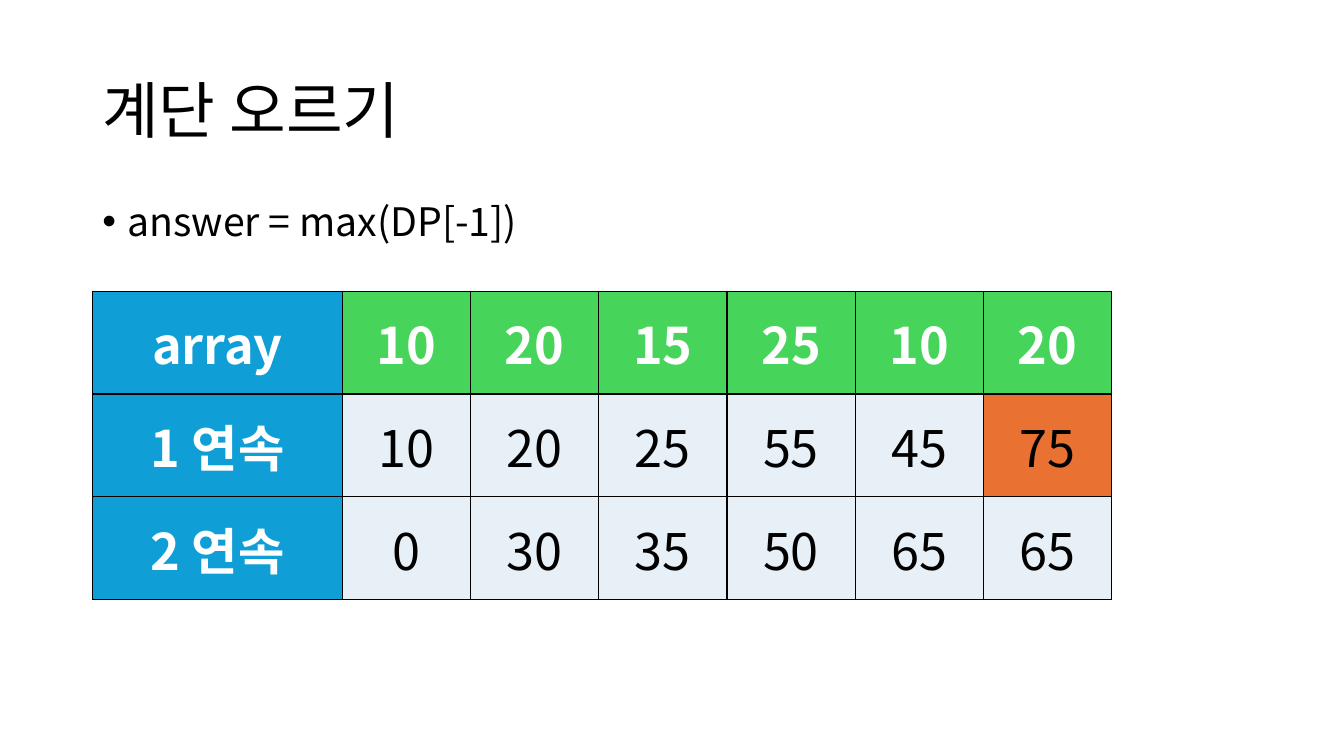
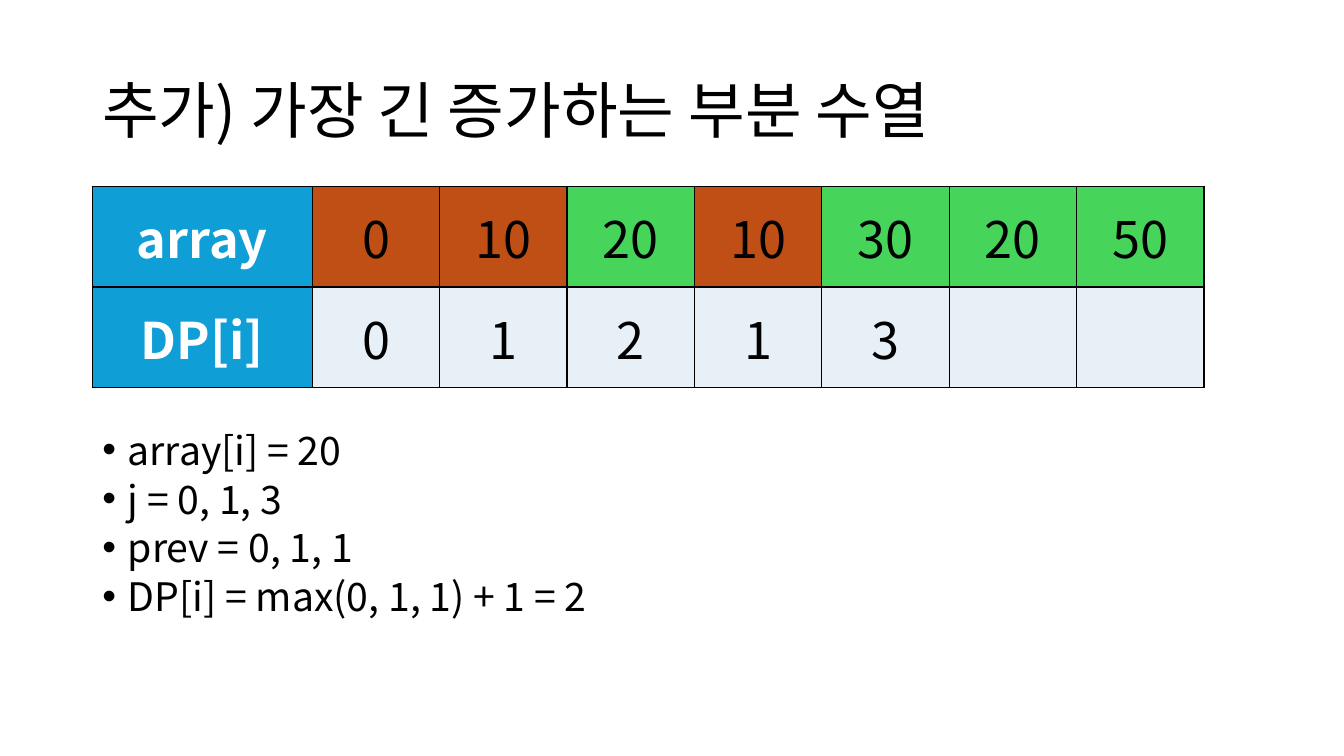
from dataclasses import dataclass
from typing import Any

from lxml.etree import SubElement
from pptx import Presentation
from pptx.dml.color import RGBColor
from pptx.enum.text import MSO_VERTICAL_ANCHOR as Anchor, PP_PARAGRAPH_ALIGNMENT as Align
from pptx.oxml.ns import qn
from pptx.util import Cm, Pt

FONT = "Noto Sans CJK KR"
BLACK = RGBColor(0x00, 0x00, 0x00)
WHITE = RGBColor(0xFF, 0xFF, 0xFF)
BLUE = RGBColor(0x0F, 0x9E, 0xD5)
GREEN = RGBColor(0x47, 0xD4, 0x5A)
PALE = RGBColor(0xE7, 0xF0, 0xF7)
ORANGE = RGBColor(0xE9, 0x71, 0x32)
RUST = RGBColor(0xC0, 0x4F, 0x15)

LEFT, TEXT_WIDTH = Cm(2.33), Cm(29.21)
TITLE_TOP, TITLE_HEIGHT = Cm(1.02), Cm(3.68)
BULLET_INDENT = Cm(0.64)

TITLE_FONT = {"size": Pt(44), "bold": False}
BODY_FONT = {"size": Pt(28), "bold": False}
CELL_FONT = {"size": Pt(36), "bold": False}
HEADER_FONT = {"size": Pt(36), "bold": True}
TITLE_PARAGRAPH = {"line_spacing": 0.9}
BODY_PARAGRAPH = {"line_spacing": 0.8, "space_before": Pt(8)}
CELL_PARAGRAPH = {"alignment": Align.CENTER}


@dataclass(frozen=True)
class Row:
    label: str
    values: list[str]
    fill: RGBColor
    bold: bool = False


@dataclass(frozen=True)
class Grid:
    top: Cm
    label_width: Cm
    value_width: Cm
    row_height: Cm
    rows: list[Row]
    highlights: dict[tuple[int, int], RGBColor]


@dataclass(frozen=True)
class Page:
    title: str
    grid: Grid
    bullets: list[str]
    bullets_top: Cm
    bullets_height: Cm


PAGES = [
    Page(
        "계단 오르기",
        Grid(
            Cm(7.34), Cm(6.3), Cm(3.23), Cm(2.59),
            [
                Row("array", ["10", "20", "15", "25", "10", "20"], GREEN, bold=True),
                Row("1 연속", ["10", "20", "25", "55", "45", "75"], PALE),
                Row("2 연속", ["0", "30", "35", "50", "65", "65"], PALE),
            ],
            {(1, 6): ORANGE},
        ),
        ["answer = max(DP[-1])"],
        Cm(5.08), Cm(3.25),
    ),
    Page(
        "추가) 가장 긴 증가하는 부분 수열",
        Grid(
            Cm(4.69), Cm(5.54), Cm(3.21), Cm(2.54),
            [
                Row("array", ["0", "10", "20", "10", "30", "20", "50"], GREEN),
                Row("DP[i]", ["0", "1", "2", "1", "3", "", ""], PALE),
            ],
            {(0, 1): RUST, (0, 2): RUST, (0, 4): RUST},
        ),
        ["array[i] = 20", "j = 0, 1, 3", "prev = 0, 1, 1", "DP[i] = max(0, 1, 1) + 1 = 2"],
        Cm(10.84), Cm(6.35),
    ),
]


def apply_format(target: Any, values: dict[str, Any]) -> None:
    for name, value in values.items():
        setattr(target, name, value)


def write(paragraph: Any, text: str, paragraph_format: dict[str, Any],
          font_format: dict[str, Any], color: RGBColor = BLACK) -> None:
    apply_format(paragraph, paragraph_format)
    run = paragraph.add_run()
    run.text = text
    apply_format(run.font, {"name": FONT, **font_format})
    run.font.color.rgb = color
    SubElement(run.font._element, qn("a:ea"), typeface=FONT)


def add_bullet(paragraph: Any) -> None:
    properties = paragraph._p.get_or_add_pPr()
    properties.set("marL", str(BULLET_INDENT))
    properties.set("indent", str(-BULLET_INDENT))
    SubElement(properties, qn("a:buFont"), typeface="Arial")
    SubElement(properties, qn("a:buChar"), char="•")


def add_text_frame(slide: Any, top: Cm, height: Cm, anchor: Anchor) -> Any:
    frame = slide.shapes.add_textbox(LEFT, top, TEXT_WIDTH, height).text_frame
    apply_format(frame, {"word_wrap": True, "vertical_anchor": anchor})
    return frame


def draw_title(slide: Any, title: str) -> None:
    frame = add_text_frame(slide, TITLE_TOP, TITLE_HEIGHT, Anchor.MIDDLE)
    write(frame.paragraphs[0], title, TITLE_PARAGRAPH, TITLE_FONT)


def draw_bullets(slide: Any, page: Page) -> None:
    frame = add_text_frame(slide, page.bullets_top, page.bullets_height, Anchor.TOP)
    for index, text in enumerate(page.bullets):
        paragraph = frame.add_paragraph() if index else frame.paragraphs[0]
        write(paragraph, text, BODY_PARAGRAPH, BODY_FONT)
        add_bullet(paragraph)


def add_borders(cell: Any) -> None:
    properties = cell._tc.get_or_add_tcPr()
    for side in ("lnL", "lnR", "lnT", "lnB"):
        line = SubElement(properties, qn(f"a:{side}"), w=str(Pt(1)))
        fill = SubElement(line, qn("a:solidFill"))
        SubElement(fill, qn("a:srgbClr"), val=str(BLACK))


def draw_cell(cell: Any, text: str, fill: RGBColor, header: bool) -> None:
    add_borders(cell)
    cell.fill.solid()
    cell.fill.fore_color.rgb = fill
    cell.vertical_anchor = Anchor.MIDDLE
    if text:
        write(cell.text_frame.paragraphs[0], text, CELL_PARAGRAPH,
              HEADER_FONT if header else CELL_FONT, WHITE if header else BLACK)


def draw_grid(slide: Any, grid: Grid) -> None:
    value_count = len(grid.rows[0].values)
    widths = [grid.label_width] + [grid.value_width] * value_count
    table = slide.shapes.add_table(
        len(grid.rows), len(widths), LEFT, grid.top,
        sum(widths), grid.row_height * len(grid.rows),
    ).table
    for column, width in zip(table.columns, widths):
        column.width = width
    for row_index, row in enumerate(grid.rows):
        table.rows[row_index].height = grid.row_height
        for column_index, text in enumerate([row.label, *row.values]):
            is_label = column_index == 0
            fill = grid.highlights.get((row_index, column_index), BLUE if is_label else row.fill)
            draw_cell(table.cell(row_index, column_index), text, fill, is_label or row.bold)


def main() -> None:
    presentation = Presentation()
    apply_format(presentation, {"slide_width": Cm(33.87), "slide_height": Cm(19.05)})
    for page in PAGES:
        slide = presentation.slides.add_slide(presentation.slide_layouts[6])
        draw_title(slide, page.title)
        draw_grid(slide, page.grid)
        draw_bullets(slide, page)
    presentation.save("out.pptx")


if __name__ == "__main__":
    main()
